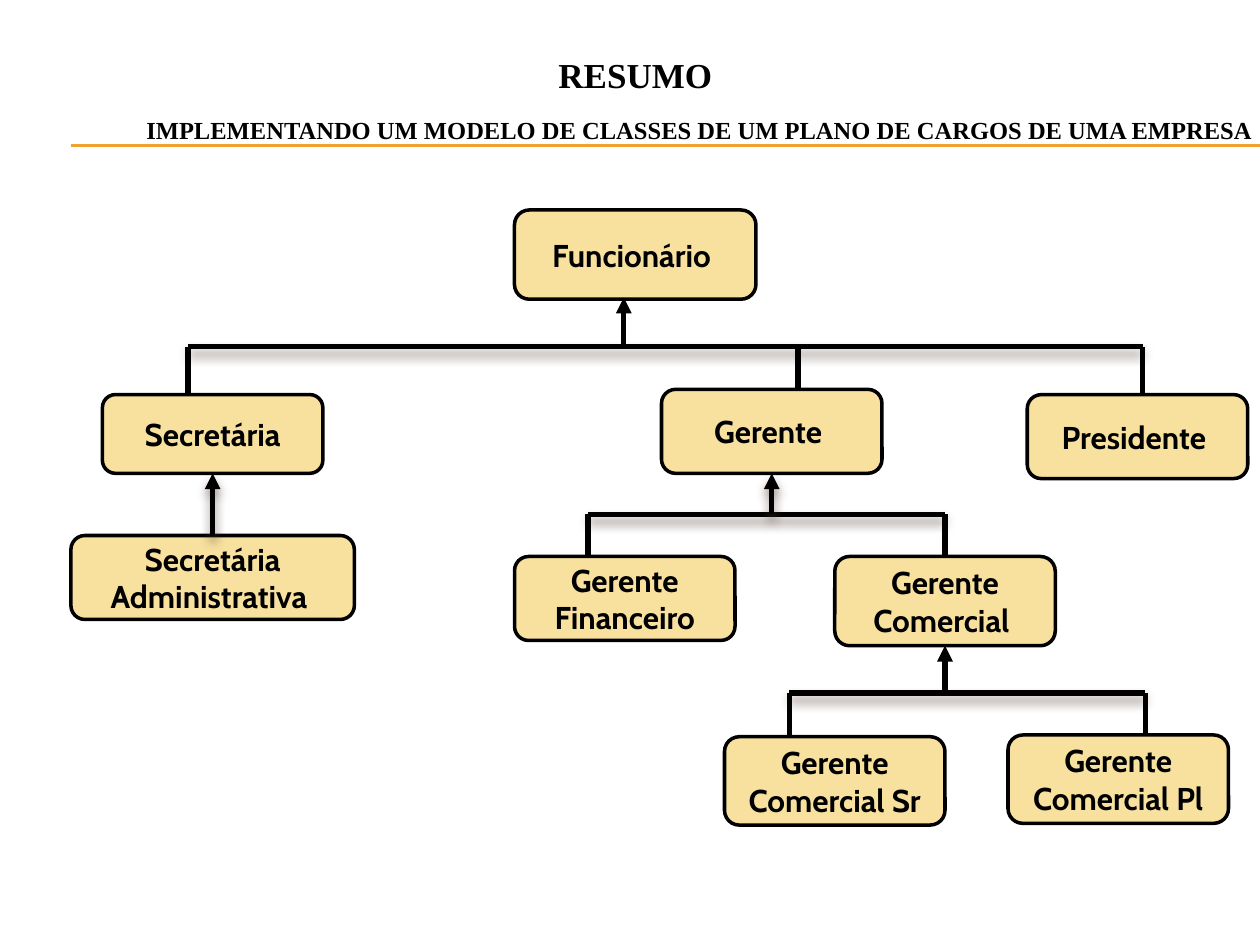
from lxml import etree
from pptx import Presentation
from pptx.dml.color import RGBColor
from pptx.enum.shapes import MSO_CONNECTOR, MSO_SHAPE
from pptx.enum.text import MSO_ANCHOR, MSO_AUTO_SIZE, PP_ALIGN
from pptx.oxml.ns import qn
from pptx.util import Pt

STRAIGHT = MSO_CONNECTOR.STRAIGHT
ROUNDED = MSO_SHAPE.ROUNDED_RECTANGLE
MIDDLE = MSO_ANCHOR.MIDDLE
GROW = MSO_AUTO_SIZE.SHAPE_TO_FIT_TEXT
CENTER, JUSTIFY = PP_ALIGN.CENTER, PP_ALIGN.JUSTIFY
TOP, BOTTOM = 0, 2

COLORS = {"ink": "000000", "box": "F8E19F", "rule": "F0A22E", "shadow": "4E3B30"}

NODES = {
    "Funcionário ": (254, 0, 138, 51),
    "Gerente Financeiro": (254, 198, 126, 48),
    "Gerente Comercial ": (437, 198, 126, 51),
    "Gerente ": (338, 102.5, 126, 48),
    "Presidente ": (547, 105.5, 126, 48),
    "Gerente Comercial Sr": (374, 301, 126, 50.5),
    "Secretária": (18.5, 105.5, 126, 45),
    "Gerente Comercial Pl": (536, 300, 126, 50.5),
    "Secretária Administrativa ": (0.5, 186, 162, 48),
}

BRANCHES = [
    {"y": 78, "drops": [(67.5, 105.5, None), (416, 102.5, None), (613, 105.5, None)],
     "arrow": (316.5, 50, None), "arrow_shadow": False},
    {"y": 174, "drops": [(296, 198, None), (500, 198, "Gerente Comercial ")],
     "arrow": (401, 150.5, "Gerente "), "arrow_shadow": True},
    {"y": 276, "drops": [(411, 300, None), (614.5, 300, None)],
     "arrow": (500, 249, "Gerente Comercial "), "arrow_shadow": False},
]


def rgb(name):
    return RGBColor.from_string(COLORS[name])


def set_font(r, **values):
    r.font.color.rgb = rgb("ink")
    for key, value in values.items():
        setattr(r.font, key, value)


def add_line(s, x1, y1, x2, y2, color="ink", width=3, arrow=False, shadow=False):
    sp = s.shapes.add_connector(STRAIGHT, Pt(x1), Pt(y1), Pt(x2), Pt(y2))
    sp.line.color.rgb = rgb(color)
    sp.line.width = Pt(width)
    props = sp._element.spPr
    if arrow:
        etree.SubElement(props.find(qn("a:ln")), qn("a:tailEnd"), type="triangle")
    effects = etree.SubElement(props, qn("a:effectLst"))
    if shadow:
        outer = etree.SubElement(
            effects, qn("a:outerShdw"), blurRad=str(Pt(6)), dist=str(Pt(4)),
            dir="5400000", rotWithShape="0")
        tint = etree.SubElement(outer, qn("a:srgbClr"), val=COLORS["shadow"])
        etree.SubElement(tint, qn("a:alpha"), val="60000")
    return sp


def add_heading(s, text, size, x, y, w, h):
    sp = s.shapes.add_textbox(Pt(x), Pt(y), Pt(w), Pt(h))
    tf = sp.text_frame
    tf.word_wrap = True
    tf.auto_size = GROW
    p = tf.paragraphs[0]
    p.level = 1
    p.alignment = JUSTIFY
    p.line_spacing = 1.5
    props = p._p.get_or_add_pPr()
    props.set("marL", str(Pt(36)))
    props.set("indent", "0")
    r = p.add_run()
    r.text = text
    set_font(r, name="Times New Roman", size=Pt(size), bold=True)


def add_header(s, x, y, w, h):
    for offset in (0, 0.75):
        add_line(s, x, y + h + offset, x + w, y + h + offset, "rule", 0.75)
    add_heading(s, "RESUMO", 20, x + 235.5, y, 144, 39)
    add_heading(s, "IMPLEMENTANDO UM MODELO DE CLASSES DE UM PLANO DE CARGOS DE UMA EMPRESA",
                14, x, y + 39, 710, 29.5)


def add_node(s, text, x, y, w, h):
    sp = s.shapes.add_shape(ROUNDED, Pt(x), Pt(y), Pt(w), Pt(h))
    sp.shadow.inherit = False
    sp.fill.solid()
    sp.fill.fore_color.rgb = rgb("box")
    sp.line.color.rgb = rgb("ink")
    sp.line.width = Pt(2)
    tf = sp.text_frame
    tf.word_wrap = True
    tf.vertical_anchor = MIDDLE
    p = tf.paragraphs[0]
    p.alignment = CENTER
    r = p.add_run()
    r.text = text
    set_font(r, name="Cabin", size=Pt(18), bold=True)
    return sp


def add_branch(s, x, y, nodes, branch):
    bar_y = y + branch["y"]
    drops = branch["drops"]
    add_line(s, x + drops[0][0], bar_y, x + drops[-1][0], bar_y, shadow=True)
    for drop_x, end_y, child in drops:
        sp = add_line(s, x + drop_x, bar_y, x + drop_x, y + end_y)
        if child:
            sp.end_connect(nodes[child], TOP)
    arrow_x, end_y, parent = branch["arrow"]
    sp = add_line(s, x + arrow_x, bar_y, x + arrow_x, y + end_y,
                  arrow=True, shadow=branch["arrow_shadow"])
    if parent:
        sp.end_connect(nodes[parent], BOTTOM)


def add_tree(s, x, y):
    nodes = {text: add_node(s, text, x + left, y + top, w, h)
             for text, (left, top, w, h) in NODES.items()}
    sp = add_line(s, x + 81.5, y + 186, x + 81.5, y + 150.5, arrow=True, shadow=True)
    sp.begin_connect(nodes["Secretária Administrativa "], TOP)
    sp.end_connect(nodes["Secretária"], BOTTOM)
    for branch in BRANCHES:
        add_branch(s, x, y, nodes, branch)


def main():
    prs = Presentation()
    prs.slide_width, prs.slide_height = Pt(720), Pt(540)
    s = prs.slides.add_slide(prs.slide_layouts[6])
    add_header(s, 40.5, 15, 679.5, 67.75)
    add_tree(s, 40, 120)
    prs.save("out.pptx")


if __name__ == "__main__":
    main()
